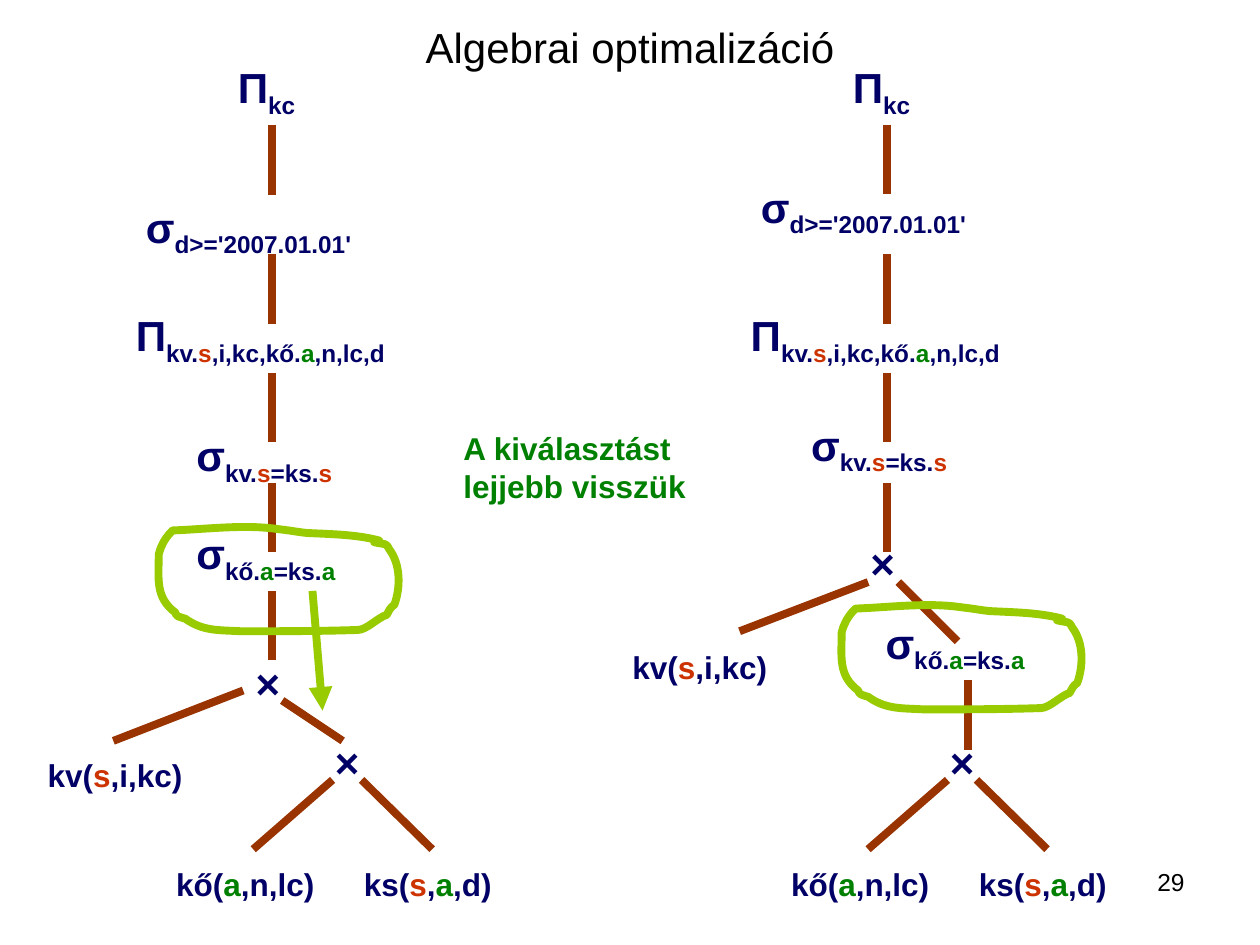
from dataclasses import dataclass

from lxml.etree import SubElement
from pptx import Presentation
from pptx.dml.color import RGBColor
from pptx.enum.shapes import MSO_CONNECTOR as Connector
from pptx.enum.text import MSO_ANCHOR as Anchor, MSO_AUTO_SIZE as AutoSize, PP_ALIGN as Align
from pptx.oxml.ns import qn
from pptx.util import Inches, Pt


@dataclass(frozen=True)
class Theme:
    """Colours, font and sizes of the slide."""
    font: str = "Arial"
    black: str = "000000"
    navy: str = "000066"
    red: str = "CC3300"
    green: str = "008000"
    brown: str = "993300"
    lime: str = "99CC00"
    title: int = 24
    operator: int = 24
    relation: int = 18
    number: int = 14
    stroke: float = 4.5


THEME = Theme()
KEY_COLORS = {"s": THEME.red, "a": THEME.green}
TREE_SHIFT = 4.88
EDGE = 0.55
TRUNK_X = 2.16
DATE_FILTER = "d>='2007.01.01'"
SUPPLIER_JOIN = "kv.|s|=ks.|s"
PART_JOIN = "kő.|a|=ks.|a"

LOOP_START = (3.01, 4.29)
LOOP_CURVES = [
    (2.82, 4.24), (2.62, 4.24), (2.43, 4.23), (2.35, 4.22), (2.3, 4.21), (2.21, 4.2),
    (1.94, 4.16), (1.65, 4.2), (1.37, 4.21), (1.33, 4.25), (1.3, 4.29), (1.28, 4.34),
    (1.27, 4.36), (1.26, 4.4), (1.26, 4.4), (1.26, 4.59), (1.23, 4.74), (1.39, 4.86),
    (1.39, 4.87), (1.4, 4.88), (1.41, 4.89), (1.43, 4.9), (1.47, 4.91), (1.47, 4.91),
    (1.61, 5.01), (1.73, 5), (1.91, 5.01), (2.22, 5.01), (2.53, 5.01), (2.84, 5),
    (2.91, 5), (3, 4.9), (3.07, 4.88), (3.09, 4.84), (3.1, 4.82), (3.13, 4.8),
    (3.18, 4.66), (3.18, 4.48), (3.09, 4.36), (3.07, 4.31), (3.05, 4.32), (3, 4.31),
    (2.99, 4.3), (2.96, 4.31), (2.97, 4.3), (2.98, 4.28), (3, 4.29), (3.01, 4.29),
]


def add_box(page, left, top, width, height, wrap=True):
    """Add an empty text box and return it with its first paragraph."""
    box = page.shapes.add_textbox(*map(Inches, (left, top, width, height)))
    box.text_frame.word_wrap = wrap
    return box, box.text_frame.paragraphs[0]


def add_span(para, text, size, color, bold=True, subscript=False):
    """Add one formatted run to a paragraph."""
    span = para.add_run()
    span.text = text
    span.font.name = THEME.font
    span.font.size = Pt(size)
    span.font.bold = bold
    span.font.color.rgb = RGBColor.from_string(color)
    if subscript:
        span._r.get_or_add_rPr().set("baseline", "-25000")


def add_keyed_text(para, text, size, subscript=False):
    """Add runs split at bars, every second one a coloured key attribute."""
    for index, piece in enumerate(text.split("|")):
        if piece:
            color = KEY_COLORS[piece] if index % 2 else THEME.navy
            add_span(para, piece, size, color, subscript=subscript)


def add_operator(page, left, top, width, symbol, condition="", wrap=True):
    """Add an algebra operator with an optional subscript."""
    height = 0.56 if condition else 0.5
    box, para = add_box(page, left, top, width, height, wrap)
    box.text_frame.auto_size = AutoSize.SHAPE_TO_FIT_TEXT
    add_span(para, symbol, THEME.operator, THEME.navy)
    add_keyed_text(para, condition, THEME.operator, subscript=True)
    return box


def add_relation(page, left, top, width, text):
    """Add a base relation at a leaf of the tree."""
    box, para = add_box(page, left, top, width, 0.4)
    box.text_frame.auto_size = AutoSize.SHAPE_TO_FIT_TEXT
    add_keyed_text(para, text, THEME.relation)


def add_edge(page, start, end, color=THEME.brown, arrow=False):
    """Add a straight line between two points."""
    points = map(Inches, (*start, *end))
    edge = page.shapes.add_connector(Connector.STRAIGHT, *points)
    edge.line.color.rgb = RGBColor.from_string(color)
    edge.line.width = Pt(THEME.stroke)
    if arrow:
        SubElement(edge.line._get_or_add_ln(), qn("a:tailEnd"), type="triangle")
    SubElement(edge._element.spPr, qn("a:effectLst"))
    return edge


def add_trunk(page, x, top):
    """Add a vertical edge of the standard length."""
    return add_edge(page, (x, top), (x, top + EDGE))


def round_segments(shape):
    """Turn each three line segments of a freeform into one cubic curve."""
    segments = list(shape._element.iter(qn("a:lnTo")))
    for curve, second, third in zip(*[iter(segments)] * 3):
        curve.tag = qn("a:cubicBezTo")
        for segment in (second, third):
            curve.append(segment[0])
            segment.getparent().remove(segment)


def add_loop(page, dx=0.0, dy=0.0):
    """Add the hand-drawn loop around the moved selection."""
    start, *others = [(Inches(x + dx), Inches(y + dy))
                      for x, y in (LOOP_START, *LOOP_CURVES)]
    builder = page.shapes.build_freeform(*start)
    builder.add_line_segments(others, close=True)
    loop = builder.convert_to_shape()
    round_segments(loop)
    loop.shadow.inherit = False
    loop.fill.background()
    loop.line.color.rgb = RGBColor.from_string(THEME.lime)
    loop.line.width = Pt(THEME.stroke)


def add_shared_tree(page, dx):
    """Add the parts that both query trees have in common."""
    add_operator(page, 1.79 + dx, 0.44, 0.67, "Π", "kc", wrap=False)
    add_operator(page, 0.98 + dx, 2.41, 2.52, "Π", "kv.|s|,i,kc,kő.|a|,n,lc,d")
    add_operator(page, 2.56 + dx, 5.8, 1.02, "×")
    add_relation(page, 1.3 + dx, 6.82, 1.34, "kő(|a|,n,lc)")
    add_relation(page, 2.79 + dx, 6.82, 1.34, "ks(|s|,|a|,d)")
    for top in (2.02, 2.96, 3.83):
        add_trunk(page, TRUNK_X + dx, top)
    add_edge(page, (2.64 + dx, 6.19), (2.01 + dx, 6.74))
    add_edge(page, (2.87 + dx, 6.19), (3.43 + dx, 6.74))


def add_first_tree(page):
    """Add the tree before the selection is pushed down."""
    add_shared_tree(page, 0)
    date_box = add_operator(page, 1.06, 1.55, 2.2, "σ", DATE_FILTER)
    add_trunk(page, TRUNK_X, 0.99).end_connect(date_box, 0)
    add_operator(page, 1.46, 3.36, 3.07, "σ", SUPPLIER_JOIN)
    add_operator(page, 1.46, 4.14, 3.07, "σ", PART_JOIN)
    add_operator(page, 1.93, 5.17, 0.95, "×")
    add_relation(page, 0.28, 5.95, 1.5, "kv(|s|,i,kc)")
    add_trunk(page, TRUNK_X, 4.69)
    add_edge(page, (1.93, 5.48), (0.9, 5.88))
    add_edge(page, (2.24, 5.56), (2.72, 5.88))
    add_loop(page)
    add_edge(page, (2.48, 4.69), (2.56, 5.64), THEME.lime, arrow=True)


def add_second_tree(page):
    """Add the tree after the selection is pushed down."""
    add_shared_tree(page, TREE_SHIFT)
    add_trunk(page, TRUNK_X + TREE_SHIFT, 0.99)
    add_operator(page, 5.94, 1.39, 2.2, "σ", DATE_FILTER)
    add_operator(page, 6.34, 3.28, 3.07, "σ", SUPPLIER_JOIN)
    add_operator(page, 6.81, 4.22, 0.95, "×")
    add_operator(page, 6.93, 4.85, 3.07, "σ", PART_JOIN)
    add_relation(page, 4.92, 5.09, 1.5, "kv(|s|,i,kc)")
    add_edge(page, (6.89, 4.62), (5.87, 5.01))
    add_edge(page, (7.13, 4.62), (7.6, 5.09))
    add_trunk(page, 7.68, 5.4)
    add_loop(page, 5.42, 0.62)


def main():
    """Build the slide and save the deck."""
    deck = Presentation()
    deck.slide_width, deck.slide_height = Inches(10), Inches(7.5)
    page = deck.slides.add_slide(deck.slide_layouts[6])
    title, para = add_box(page, 0.5, 0.3, 9, 0.14)
    title.text_frame.vertical_anchor = Anchor.MIDDLE
    para.alignment = Align.CENTER
    add_span(para, "Algebrai optimalizáció", THEME.title, THEME.black, bold=False)
    add_first_tree(page)
    add_second_tree(page)
    para = add_box(page, 3.58, 3.36, 2.05, 0.7)[1]
    add_span(para, "A kiválasztást lejjebb visszük", THEME.relation, THEME.green)
    para = add_box(page, 7.17, 6.83, 2.33, 0.52)[1]
    para.alignment = Align.RIGHT
    add_span(para, "29", THEME.number, THEME.black, bold=False)
    deck.save("out.pptx")


if __name__ == "__main__":
    main()
